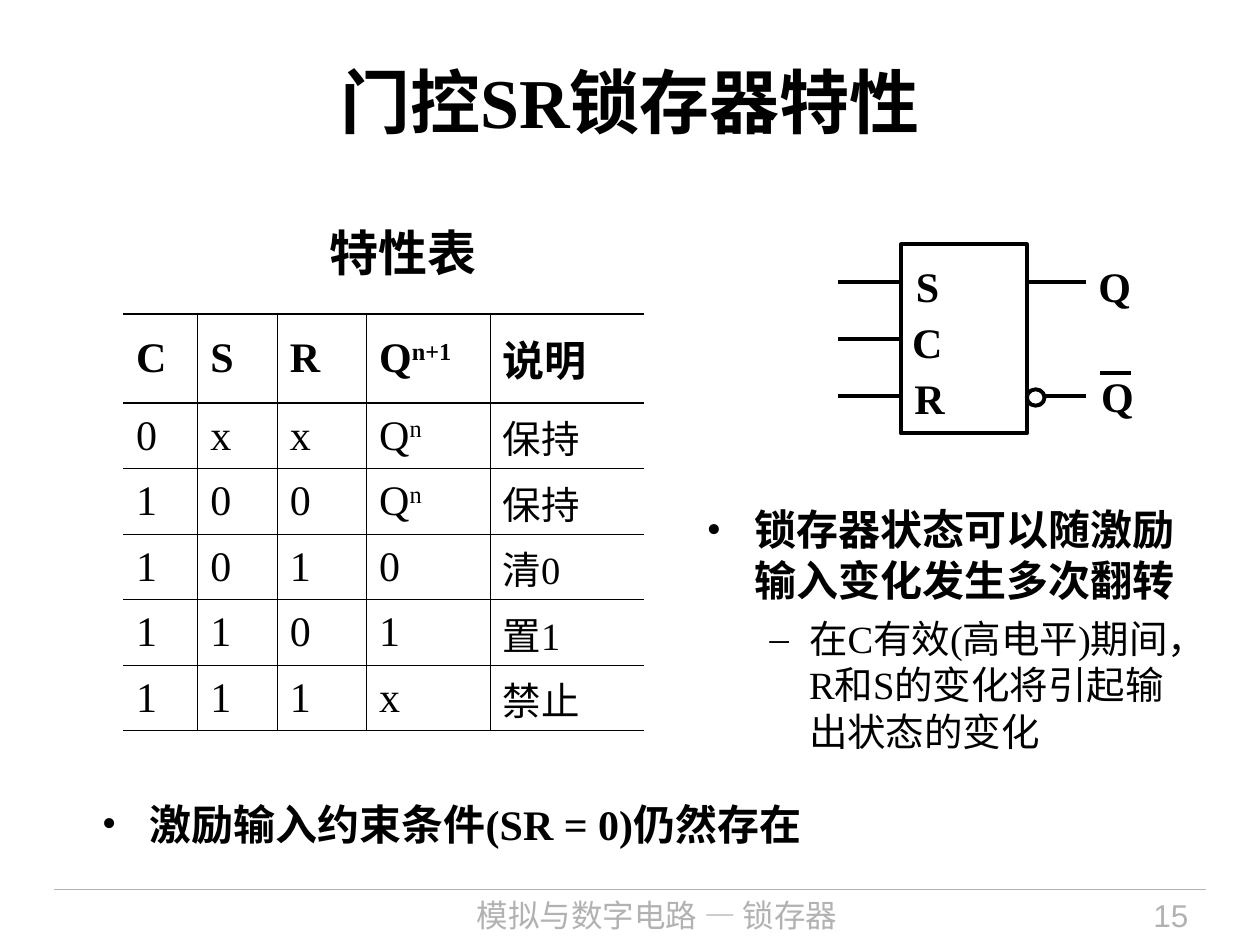
from dataclasses import dataclass

from lxml.etree import SubElement
from pptx import Presentation
from pptx.dml.color import RGBColor
from pptx.enum.shapes import MSO_CONNECTOR, MSO_SHAPE
from pptx.enum.text import MSO_ANCHOR, MSO_AUTO_SIZE, PP_ALIGN
from pptx.oxml.ns import qn
from pptx.util import Inches, Pt


@dataclass(frozen=True)
class Theme:
    ink: str = "000000"
    paper: str = "FFFFFF"
    muted: str = "B2B2B2"
    serif: str = "Times New Roman"
    sans: str = "Arial"
    cjk: str = "Noto Sans CJK SC"
    title: int = 40
    heading: int = 28
    body: int = 24
    detail: int = 22
    footer: int = 18
    wire: float = 2.25
    hairline: float = 0.75
    thin: float = 0.45
    medium: float = 0.96
    thick: float = 1.08


T = Theme()
WIDTH, HEIGHT = Inches(10), Inches(7.5)
COLUMNS, ROWS = 100, 75
TRUTH_TABLE = [
    ["C", "S", "R", "Q^n+1", "说明"],
    ["0", "x", "x", "Q^n", "保持"],
    ["1", "0", "0", "Q^n", "保持"],
    ["1", "0", "1", "0", "清0"],
    ["1", "1", "0", "1", "置1"],
    ["1", "1", "1", "x", "禁止"],
]
INPUTS = 3


def x(columns):
    return round(columns * WIDTH / COLUMNS)


def y(rows):
    return round(rows * HEIGHT / ROWS)


def box(left, top, width, height):
    return x(left), y(top), x(width), y(height)


def add_run(p, text, size, bold=False, font=T.serif, color=T.ink, raised=False):
    r = p.add_run()
    r.text = text
    r.font.size, r.font.bold, r.font.name = Pt(size), bold, font
    r.font.color.rgb = RGBColor.from_string(color)
    rPr = r._r.get_or_add_rPr()
    SubElement(rPr, qn("a:ea"), typeface=T.cjk)
    if raised:
        rPr.set("baseline", "30000")


def add_text(shapes, place, text, size, align=PP_ALIGN.LEFT,
             anchor=MSO_ANCHOR.TOP, wrap=True, **style):
    tf = shapes.add_textbox(*box(*place)).text_frame
    tf.word_wrap, tf.vertical_anchor = wrap, anchor
    if not wrap:
        tf.auto_size = MSO_AUTO_SIZE.SHAPE_TO_FIT_TEXT
    p = tf.paragraphs[0]
    p.alignment = align
    add_run(p, text, size, **style)


def add_bullets(shapes, place, items, spacing=1.0):
    """Each item is (text, level); level 0 is bold, level 1 is a dash below it."""
    levels = [("•", 3.8, 3.8, T.body), ("–", 8.13, 3.13, T.detail)]
    tf = shapes.add_textbox(*box(*place)).text_frame
    tf.word_wrap = True
    for i, (text, level) in enumerate(items):
        mark, margin, hang, size = levels[level]
        p = tf.add_paragraph() if i else tf.paragraphs[0]
        p.level = level
        pPr = p._p.get_or_add_pPr()
        pPr.set("marL", str(x(margin)))
        pPr.set("indent", str(-x(hang)))
        SubElement(SubElement(pPr, qn("a:buClr")), qn("a:srgbClr"), val=T.ink)
        SubElement(pPr, qn("a:buFont"), typeface=T.serif)
        SubElement(pPr, qn("a:buChar"), char=mark)
        p.line_spacing, p.space_after = spacing, Pt(size / 4)
        add_run(p, text, size, bold=level == 0)


def add_line(shapes, start, end, color=T.ink, width=T.wire):
    line = shapes.add_connector(MSO_CONNECTOR.STRAIGHT, x(start[0]), y(start[1]),
                                x(end[0]), y(end[1]))
    line.line.color.rgb = RGBColor.from_string(color)
    line.line.width = Pt(width)
    SubElement(line._element.spPr, qn("a:effectLst"))
    return line


def add_outline(shapes, kind, place, fill=None):
    sp = shapes.add_shape(kind, *box(*place))
    sp.shadow.inherit = False
    if fill:
        sp.fill.solid()
        sp.fill.fore_color.rgb = RGBColor.from_string(fill)
    else:
        sp.fill.background()
    sp.line.color.rgb = RGBColor.from_string(T.ink)
    sp.line.width = Pt(T.wire)
    return sp


def set_borders(cell, **widths):
    """Sides L, R, T and B in points; a width of 0 hides the side."""
    tcPr = cell._tc.get_or_add_tcPr()
    for side in "LRTB":
        ln = SubElement(tcPr, qn(f"a:ln{side}"), w=str(Pt(widths[side])))
        if widths[side]:
            SubElement(SubElement(ln, qn("a:solidFill")), qn("a:srgbClr"), val=T.ink)
        else:
            SubElement(ln, qn("a:noFill"))


def vertical_rule(edge):
    if edge in (0, len(TRUTH_TABLE[0])):
        return 0
    return T.thick if edge == INPUTS else T.thin


def horizontal_rule(edge, column):
    if edge in (0, len(TRUTH_TABLE)):
        return T.thick if column < INPUTS else T.medium
    return T.medium if edge == 1 else T.thin


def add_truth_table(shapes, place, widths, heights):
    table = shapes.add_table(len(heights), len(widths), *box(*place)).table
    table.first_row = table.horz_banding = False
    for column, width in zip(table.columns, widths):
        column.width = x(width)
    for row, height in zip(table.rows, heights):
        row.height = y(height)
    for i, texts in enumerate(TRUTH_TABLE):
        for j, text in enumerate(texts):
            cell = table.cell(i, j)
            cell.vertical_anchor = MSO_ANCHOR.MIDDLE
            set_borders(cell, L=vertical_rule(j), R=vertical_rule(j + 1),
                        T=horizontal_rule(i, j), B=horizontal_rule(i + 1, j))
            cell.fill.background()
            size = T.detail if i and j == len(texts) - 1 else T.body
            p = cell.text_frame.paragraphs[0]
            p.space_after = Pt(size / 4)
            base, _, power = text.partition("^")
            add_run(p, base, size, bold=i == 0)
            if power:
                add_run(p, power, size, bold=i == 0, raised=True)


def add_latch_symbol(s):
    shapes = s.shapes.add_group_shape().shapes
    left, right, pin_end = 71.5, 81.5, 86.2
    top, middle, pitch = 19.4, 26.9, 4.5
    set_pin, reset_pin = middle - pitch, middle + pitch
    body = add_outline(shapes, MSO_SHAPE.RECTANGLE,
                       (left, top, right - left, 2 * (middle - top)))
    for pin in (set_pin, middle, reset_pin):
        wire = add_line(shapes, (left, pin), (left - 5, pin))
        if pin == middle:
            wire.begin_connect(body, 1)
    add_line(shapes, (right, set_pin), (pin_end, set_pin))
    add_line(shapes, (right + 0.9, reset_pin), (pin_end, reset_pin))
    add_outline(shapes, MSO_SHAPE.OVAL, (right, 30.9, 1.4, 1.3), fill=T.paper)
    labels = [("S", 71.7, 20.2, 3.8), ("C", 71.4, 24.6, 4.4), ("R", 71.6, 29.1, 4.4),
              ("Q", 86.2, 20.2, 4.6), ("Q", 86.4, 28.9, 4.6)]
    for text, at_x, at_y, width in labels:
        add_text(shapes, (at_x, at_y, width, 5), text, T.body, wrap=False, bold=True)
    add_line(shapes, (87.3, 29.6), (89.8, 29.6))


def add_footer(shapes):
    add_line(shapes, (4.3, 70.6), (95.7, 70.6), T.muted, T.hairline)
    add_text(shapes, (24, 70.6, 56.3, 4.4), "模拟与数字电路 — 锁存器", T.footer,
             PP_ALIGN.CENTER, font=T.cjk, color=T.muted)
    add_text(shapes, (82, 70.6, 13.3, 4.4), "15", T.footer,
             PP_ALIGN.RIGHT, font=T.sans, color=T.muted)


def main():
    prs = Presentation()
    prs.slide_width, prs.slide_height = WIDTH, HEIGHT
    s = prs.slides.add_slide(prs.slide_layouts[6])
    add_footer(s.shapes)
    add_text(s.shapes, (5, 1.7, 90, 12.5), "门控SR锁存器特性", T.title,
             PP_ALIGN.CENTER, MSO_ANCHOR.MIDDLE, bold=True)
    add_text(s.shapes, (25.2, 17.2, 14.2, 5.7), "特性表", T.heading,
             wrap=False, bold=True, font=T.sans)
    add_bullets(s.shapes, (7.1, 63.3, 86.2, 6.5),
                [("激励输入约束条件(SR = 0)仍然存在", 0)], spacing=0.9)
    add_latch_symbol(s)
    add_truth_table(s.shapes, (9.8, 24.9, 41.3, 33.1),
                    [5.9, 6.3, 7.1, 9.8, 12.2], [7.1] + [5.2] * 5)
    add_bullets(s.shapes, (55.1, 39.5, 40.2, 23.6),
                [("锁存器状态可以随激励输入变化发生多次翻转", 0),
                 ("在C有效(高电平)期间，R和S的变化将引起输出状态的变化", 1)])
    prs.save("out.pptx")


if __name__ == "__main__":
    main()
